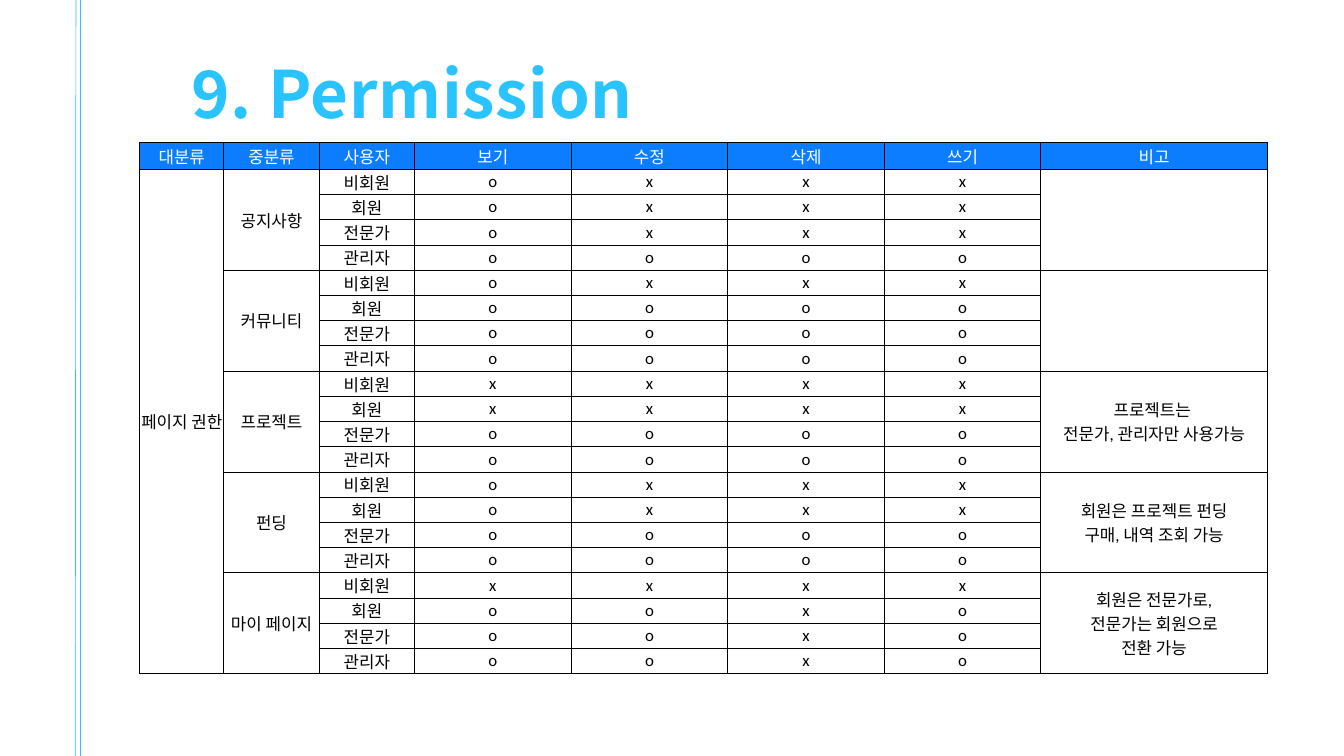
from dataclasses import dataclass

from lxml import etree
from pptx import Presentation
from pptx.dml.color import RGBColor
from pptx.enum.shapes import MSO_CONNECTOR
from pptx.enum.text import MSO_ANCHOR, MSO_AUTO_SIZE, PP_ALIGN
from pptx.oxml import parse_xml
from pptx.oxml.ns import nsdecls, qn
from pptx.util import Inches, Pt

STRAIGHT = MSO_CONNECTOR.STRAIGHT
TOP, MIDDLE = MSO_ANCHOR.TOP, MSO_ANCHOR.MIDDLE
LEFT, CENTER = PP_ALIGN.LEFT, PP_ALIGN.CENTER
NO_AUTOSIZE = MSO_AUTO_SIZE.NONE
TITLE_ONLY = 5


@dataclass(frozen=True)
class Theme:
    """Colours, fonts and sizes of the slide."""

    accent: str = "29C3FF"
    header: str = "0C7DFF"
    paper: str = "FFFFFF"
    ink: str = "000000"
    latin: str = "Calibri"
    korean: str = "Noto Sans CJK KR"
    title_size: float = 70
    title_leading: float = 126
    title_tracking: int = 80
    table_size: float = 18
    rule_width: float = 0.75
    border_width: float = 1


THEME = Theme()
WIDTH, HEIGHT = 20, 11.25
TITLE_BOX = (2.85, 0.21, 12.77, 1.58)
TABLE_BOX = (2.08, 2.12, 16.79, 7.91)
RULES = ((1.12, 1.13), (1.19, 1.19))
COLUMNS = (1.25, 1.42, 1.42, 2.33, 2.33, 2.33, 2.33, 3.37)
HEADER_HEIGHT = 0.4
HEADINGS = ("대분류", "중분류", "사용자", "보기", "수정", "삭제", "쓰기", "비고")
CATEGORY = "페이지 권한"
USERS = ("비회원", "회원", "전문가", "관리자")
SECTIONS = (
    ("공지사항", ("oxxx", "oxxx", "oxxx", "oooo"), ""),
    ("커뮤니티", ("oxxx", "oooo", "oooo", "oooo"), ""),
    ("프로젝트", ("xxxx", "xxxx", "oooo", "oooo"),
     "프로젝트는 \n전문가, 관리자만 사용가능"),
    ("펀딩", ("oxxx", "oxxx", "oooo", "oooo"),
     "회원은 프로젝트 펀딩\v구매, 내역 조회 가능"),
    ("마이 페이지", ("xxxx", "ooxo", "ooxo", "ooxo"),
     "회원은 전문가로,\v전문가는 회원으로\v전환 가능"),
)


def colour(value):
    """Turn a hex value into a colour."""
    return RGBColor.from_string(value)


def format_run(run, latin, size, ink, bold=False):
    """Set the fonts, size, weight and colour of a run."""
    run.font.name = latin
    run.font.size = Pt(size)
    run.font.bold = bold
    run.font.color.rgb = colour(ink)
    east_asian = etree.SubElement(run._r.get_or_add_rPr(), qn("a:ea"))
    east_asian.set("typeface", THEME.korean)


def add_margin_rules(slide):
    """Draw the two rules that run the height of the left margin."""
    for bottom, top in RULES:
        rule = slide.shapes.add_connector(
            STRAIGHT, Inches(bottom), Inches(HEIGHT), Inches(top), 0)
        rule.line.color.rgb = colour(THEME.accent)
        rule.line.width = Pt(THEME.rule_width)
        etree.SubElement(rule._element.spPr, qn("a:effectLst"))


def place_title(slide, box, text):
    """Move the title placeholder into its box and format it."""
    title = slide.shapes.title
    title.left, title.top, title.width, title.height = map(Inches, box)
    frame = title.text_frame
    frame.text = text
    frame.word_wrap = True
    frame.auto_size = NO_AUTOSIZE
    frame.vertical_anchor = TOP
    frame.margin_left = frame.margin_right = 0
    frame.margin_top = frame.margin_bottom = 0
    paragraph = frame.paragraphs[0]
    paragraph.alignment = LEFT
    paragraph.line_spacing = Pt(THEME.title_leading)
    paragraph.space_before = Pt(0)
    run = paragraph.runs[0]
    format_run(run, THEME.korean, THEME.title_size, THEME.accent, True)
    run._r.get_or_add_rPr().set("spc", str(THEME.title_tracking))


def style_cell(cell, fill):
    """Give a cell its fill, margins, anchor and four borders."""
    cell.fill.solid()
    cell.fill.fore_color.rgb = colour(fill)
    cell.vertical_anchor = MIDDLE
    cell.margin_left = cell.margin_right = Inches(0.01)
    cell.margin_top = cell.margin_bottom = 0
    properties = cell._tc.get_or_add_tcPr()
    for position, side in enumerate(("lnL", "lnR", "lnT", "lnB")):
        properties.insert(position, parse_xml(
            f'<a:{side} {nsdecls("a")} w="{Pt(THEME.border_width)}">'
            f'<a:solidFill><a:srgbClr val="{THEME.ink}"/></a:solidFill>'
            f'</a:{side}>'))


def write_cell(cell, text, ink=THEME.ink):
    """Write centred text into a cell."""
    cell.text_frame.text = text
    for paragraph in cell.text_frame.paragraphs:
        paragraph.alignment = CENTER
        for run in paragraph.runs:
            format_run(run, THEME.latin, THEME.table_size, ink)


def fill_section(table, top, name, grants, note):
    """Write one section: its name, a row for each user, and its note."""
    bottom, last = top + len(USERS) - 1, len(COLUMNS) - 1
    for column, text in ((1, name), (last, note)):
        table.cell(top, column).merge(table.cell(bottom, column))
        write_cell(table.cell(top, column), text)
    for row, (user, marks) in enumerate(zip(USERS, grants), top):
        for column, text in enumerate((user, *marks), 2):
            write_cell(table.cell(row, column), text)


def add_permission_table(slide, box):
    """Build the permission table in its box."""
    body_rows = len(SECTIONS) * len(USERS)
    table = slide.shapes.add_table(
        body_rows + 1, len(COLUMNS), *map(Inches, box)).table
    table.first_row = table.horz_banding = False
    for column, width in zip(table.columns, COLUMNS):
        column.width = Inches(width)
    for index, row in enumerate(table.rows):
        row.height = Inches((box[3] - HEADER_HEIGHT) / body_rows
                            if index else HEADER_HEIGHT)
        for cell in row.cells:
            style_cell(cell, THEME.paper if index else THEME.header)
    for column, heading in enumerate(HEADINGS):
        write_cell(table.cell(0, column), heading, THEME.paper)
    table.cell(1, 0).merge(table.cell(body_rows, 0))
    write_cell(table.cell(1, 0), CATEGORY)
    for index, section in enumerate(SECTIONS):
        fill_section(table, 1 + index * len(USERS), *section)


def main():
    """Build and save the presentation."""
    presentation = Presentation()
    presentation.slide_width = Inches(WIDTH)
    presentation.slide_height = Inches(HEIGHT)
    slide = presentation.slides.add_slide(
        presentation.slide_layouts[TITLE_ONLY])
    add_margin_rules(slide)
    place_title(slide, TITLE_BOX, "9. Permission")
    add_permission_table(slide, TABLE_BOX)
    presentation.save("out.pptx")


if __name__ == "__main__":
    main()
